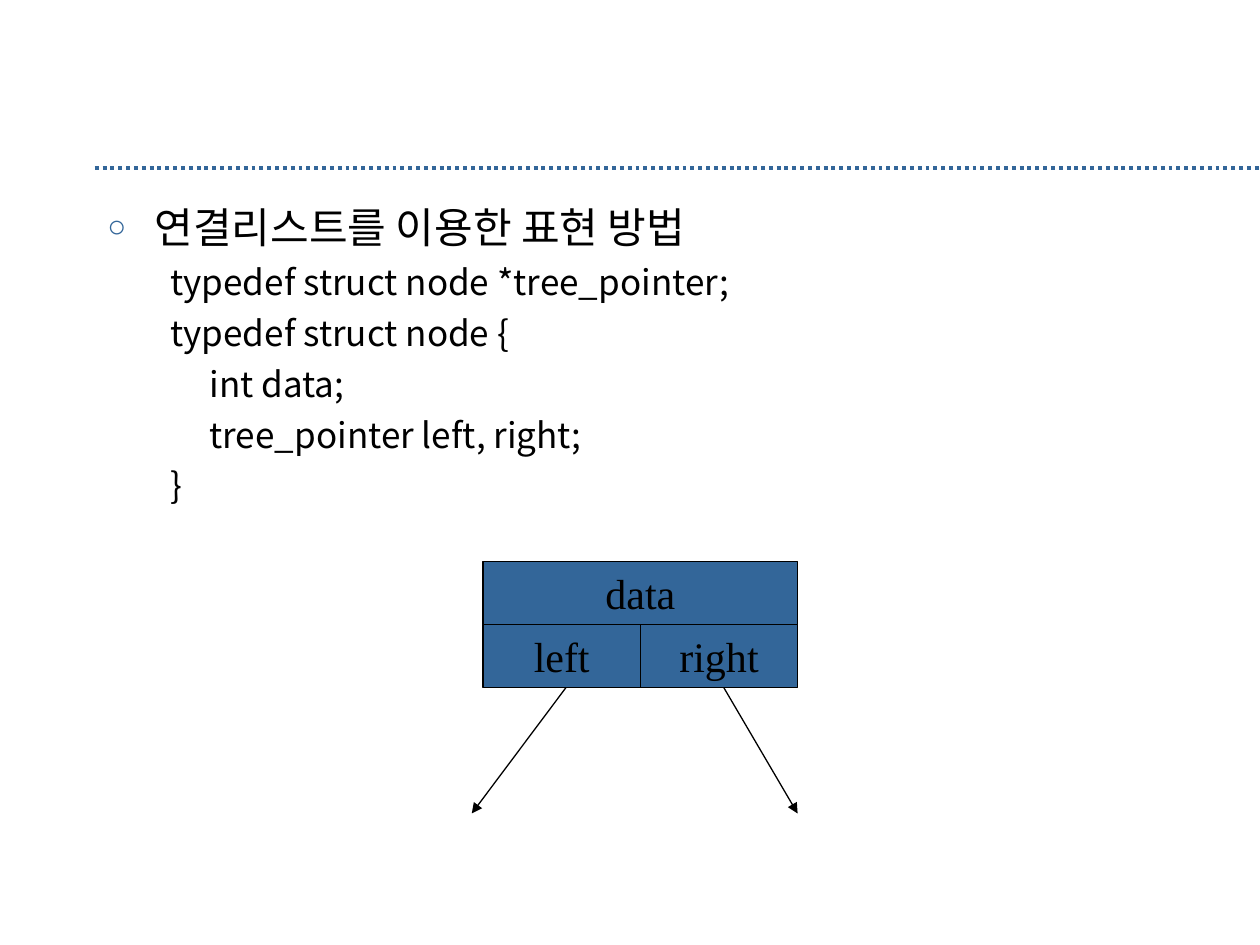
"""Build a slide on the linked representation of a binary tree node."""
from dataclasses import dataclass

from lxml import etree
from pptx import Presentation
from pptx.dml.color import RGBColor
from pptx.enum.dml import MSO_LINE
from pptx.enum.shapes import MSO_CONNECTOR, MSO_SHAPE
from pptx.enum.text import MSO_ANCHOR, MSO_AUTO_SIZE, PP_ALIGN
from pptx.oxml.ns import qn
from pptx.util import Cm, Pt

STRAIGHT = MSO_CONNECTOR.STRAIGHT
RECTANGLE = MSO_SHAPE.RECTANGLE
DOTTED = MSO_LINE.ROUND_DOT
MIDDLE = MSO_ANCHOR.MIDDLE
NO_AUTOFIT = MSO_AUTO_SIZE.NONE
LEFT, CENTER = PP_ALIGN.LEFT, PP_ALIGN.CENTER

BLUE, BLACK = "336699", "000000"
BODY_FONT, NODE_FONT = "Noto Sans CJK KR", "Times New Roman"
NODE_LEFT, NODE_TOP = 9.74, 11.32
FIELD_WIDTH, FIELD_HEIGHT = 3.17, 1.27
POINTER_TOP = NODE_TOP + 2 * FIELD_HEIGHT
POINTER_BOTTOM = POINTER_TOP + 2.54


@dataclass(frozen=True)
class Field:
    label: str
    column: int
    row: int
    span: int = 1


@dataclass(frozen=True)
class Line:
    start: tuple[float, float]
    end: tuple[float, float]
    color: str = BLACK
    width: float = 0.75
    dotted: bool = False
    arrow: bool = False


HEADING = "연결리스트를 이용한 표현 방법"
CODE = [
    "typedef struct node *tree_pointer;",
    "typedef struct node {",
    "\tint data;",
    "\ttree_pointer left, right;",
    "}",
]
FIELDS = [Field("left", 0, 1), Field("data", 0, 0, 2), Field("right", 1, 1)]
RULE = Line((1.91, 3.38), (25.4, 3.38), BLUE, 2.25, dotted=True)
POINTERS = [
    Line((11.41, POINTER_TOP), (9.51, POINTER_BOTTOM), arrow=True),
    Line((14.59, POINTER_TOP), (16.08, POINTER_BOTTOM), arrow=True),
]


def rgb(color: str) -> RGBColor:
    return RGBColor.from_string(color)


def style_font(paragraph, name: str, size: float) -> None:
    font = paragraph.font
    font.name, font.size = name, Pt(size)
    font.color.rgb = rgb(BLACK)
    defaults = paragraph._p.pPr.find(qn("a:defRPr"))
    etree.SubElement(defaults, qn("a:ea"), typeface=name)


def format_item(paragraph, text: str, size: float, margin: float,
                indent: float, bullet: str = "") -> None:
    paragraph.text = text
    paragraph.alignment = LEFT
    props = paragraph._p.get_or_add_pPr()
    props.set("marL", str(Cm(margin)))
    props.set("indent", str(Cm(indent)))
    if bullet:
        bullet_color = etree.SubElement(props, qn("a:buClr"))
        etree.SubElement(bullet_color, qn("a:srgbClr"), val=BLUE)
        etree.SubElement(props, qn("a:buSzPct"), val="75000")
        etree.SubElement(props, qn("a:buChar"), char=bullet)
    else:
        etree.SubElement(props, qn("a:buNone"))
    style_font(paragraph, BODY_FONT, size)


def fill_body(body) -> None:
    body.left, body.top = Cm(1.91), Cm(3.94)
    body.width, body.height = Cm(21.59), Cm(13)
    frame = body.text_frame
    frame.auto_size = NO_AUTOFIT
    heading = frame.paragraphs[0]
    format_item(heading, HEADING, 24, 0.95, -0.95, "○")
    heading.space_before = Pt(0)
    for code_line in CODE:
        paragraph = frame.add_paragraph()
        paragraph.level = 1
        format_item(paragraph, code_line, 20, 2.06, -0.79)
        paragraph.space_before = Pt(5)


def draw_field(shapes, field: Field) -> None:
    box = shapes.add_shape(
        RECTANGLE,
        Cm(NODE_LEFT + field.column * FIELD_WIDTH),
        Cm(NODE_TOP + field.row * FIELD_HEIGHT),
        Cm(field.span * FIELD_WIDTH), Cm(FIELD_HEIGHT),
    )
    box.shadow.inherit = False
    box.fill.solid()
    box.fill.fore_color.rgb = rgb(BLUE)
    box.line.color.rgb = rgb(BLACK)
    box.line.width = Pt(0.75)
    frame = box.text_frame
    frame.word_wrap = False
    frame.vertical_anchor = MIDDLE
    label = frame.paragraphs[0]
    label.text = field.label
    label.alignment = CENTER
    style_font(label, NODE_FONT, 24)


def draw_line(shapes, line: Line) -> None:
    connector = shapes.add_connector(
        STRAIGHT, *(Cm(value) for value in line.start + line.end))
    connector.line.color.rgb = rgb(line.color)
    connector.line.width = Pt(line.width)
    if line.dotted:
        connector.line.dash_style = DOTTED
    props = connector._element.spPr
    if line.arrow:
        etree.SubElement(props.find(qn("a:ln")), qn("a:tailEnd"), type="triangle")
    etree.SubElement(props, qn("a:effectLst"))


def main() -> None:
    deck = Presentation()
    deck.slide_width, deck.slide_height = Cm(25.4), Cm(19.05)
    slide = deck.slides.add_slide(deck.slide_layouts[1])
    title = slide.shapes.title._element
    title.getparent().remove(title)
    fill_body(slide.placeholders[1])
    draw_line(slide.shapes, RULE)
    for field in FIELDS:
        draw_field(slide.shapes, field)
    for pointer in POINTERS:
        draw_line(slide.shapes, pointer)
    deck.save("out.pptx")


if __name__ == "__main__":
    main()
